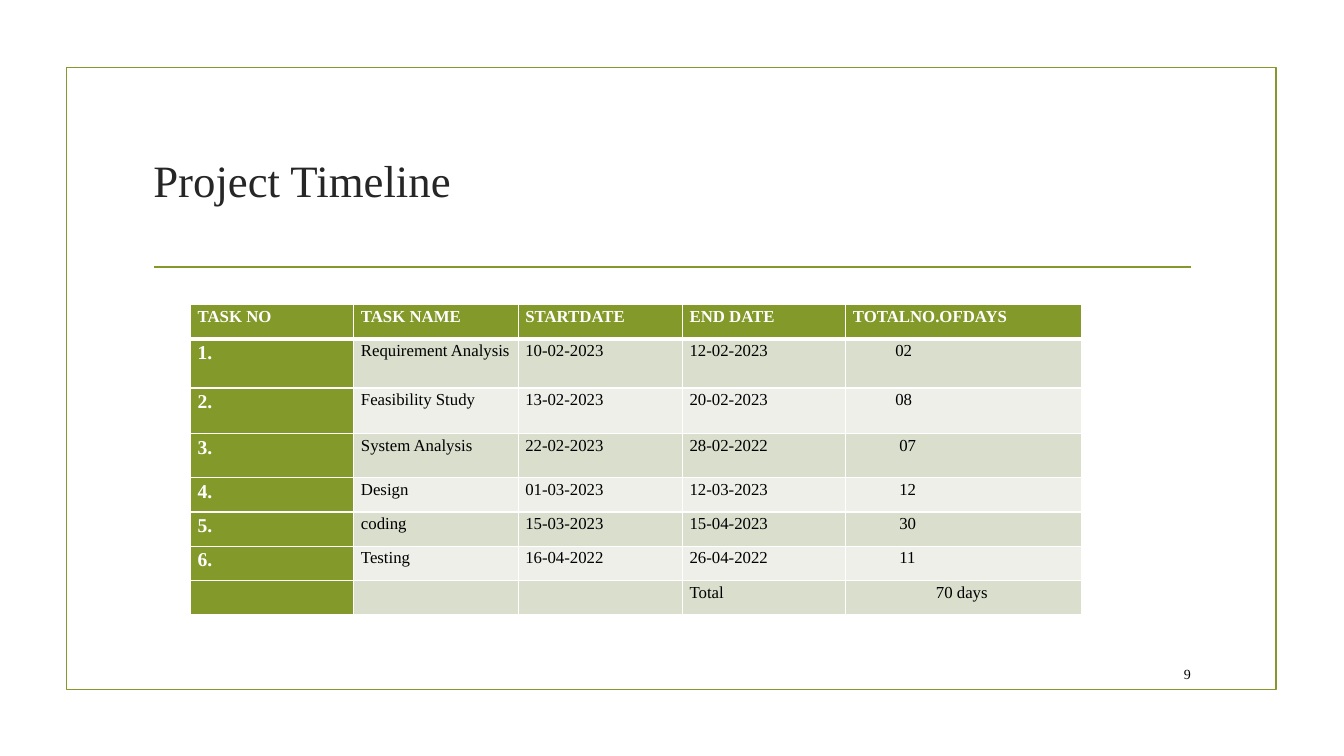
from lxml.etree import SubElement
from pptx import Presentation
from pptx.dml.color import RGBColor
from pptx.enum.shapes import MSO_CONNECTOR, MSO_SHAPE
from pptx.enum.text import MSO_ANCHOR, PP_ALIGN
from pptx.oxml.ns import qn
from pptx.util import Inches, Pt

FONT = "Times New Roman"
GREEN, WHITE, BLACK = "83992A", "FFFFFF", "000000"
BANDS = ["EDEFE8", "D9DECD"]
WIDTHS = [1.62, 1.63, 1.63, 1.62, 2.34]
HEIGHTS = [0.34, 0.49, 0.45, 0.44, 0.34, 0.34, 0.34, 0.34]
ROWS = [
    ["TASK NO", "TASK NAME", "STARTDATE", "END DATE", "TOTALNO.OFDAYS"],
    ["1.", "Requirement Analysis", "10-02-2023", "12-02-2023", "02"],
    ["2.", "Feasibility Study", "13-02-2023", "20-02-2023", "08"],
    ["3.", "System Analysis", "22-02-2023", "28-02-2022", "07"],
    ["4.", "Design", "01-03-2023", "12-03-2023", "12"],
    ["5.", "coding", "15-03-2023", "15-04-2023", "30"],
    ["6.", "Testing", "16-04-2022", "26-04-2022", "11"],
    ["", "", "", "Total", "70 days"],
]


def color(code):
    return RGBColor.from_string(code)


def style(para, size, code, bold=False, align=PP_ALIGN.LEFT):
    para.alignment = align
    font = para.font
    font.name, font.size, font.bold = FONT, Pt(size), bold
    font.color.rgb = color(code)


def stroke(shape):
    shape.line.color.rgb = color(GREEN)
    shape.line.width = Pt(1.25)


def add_frame(slide):
    frame = slide.shapes.add_shape(
        MSO_SHAPE.RECTANGLE, Inches(0.66), Inches(0.67), Inches(12), Inches(6.17))
    frame.shadow.inherit = False
    frame.fill.background()
    stroke(frame)


def add_rule(slide):
    rule = slide.shapes.add_connector(
        MSO_CONNECTOR.STRAIGHT, Inches(1.53), Inches(2.65), Inches(11.81), Inches(2.65))
    stroke(rule)
    SubElement(rule._element.spPr, qn("a:effectLst"))


def set_title(slide, text):
    title = slide.shapes.title
    title.left, title.top = Inches(1.42), Inches(1.07)
    title.width, title.height = Inches(10.5), Inches(1.43)
    title.text_frame.text = text
    title.text_frame.vertical_anchor = MSO_ANCHOR.MIDDLE
    style(title.text_frame.paragraphs[0], 32, "262626")


def add_number(slide, text):
    box = slide.shapes.add_textbox(Inches(11.32), Inches(6.53), Inches(0.59), Inches(0.31))
    frame = box.text_frame
    frame.word_wrap = True
    frame.vertical_anchor = MSO_ANCHOR.MIDDLE
    frame.text = text
    style(frame.paragraphs[0], 10, BLACK, align=PP_ALIGN.RIGHT)


def add_edges(cell, base):
    props = cell._tc.get_or_add_tcPr()
    for side, width in [("L", 1), ("R", 1), ("T", 1), ("B", base)]:
        edge = SubElement(props, qn(f"a:ln{side}"), w=str(Pt(width)))
        fill = SubElement(edge, qn("a:solidFill"))
        SubElement(fill, qn("a:srgbClr"), val=WHITE)


def get_indent(row, col):
    if row == 0 or col < 4:
        return 0.07
    return 0.49 if row < 3 else 0.53


def fill_cell(cell, row, col, text):
    head = row == 0 or col == 0
    total = row == len(ROWS) - 1 and col == 4
    add_edges(cell, 3 if row == 0 else 1)
    cell.fill.solid()
    cell.fill.fore_color.rgb = color(GREEN if head else BANDS[row % 2])
    cell.margin_left = cell.margin_top = cell.margin_bottom = 0
    cell.margin_right = Inches(0.04)
    cell.text = text
    if not text:
        return
    para = cell.text_frame.paragraphs[0]
    para.line_spacing = 1.15
    style(para, 14 if col == 0 and row else 12, WHITE if head else BLACK, head,
          PP_ALIGN.CENTER if total else PP_ALIGN.LEFT)
    if not total:
        para._p.get_or_add_pPr().set("marL", str(Inches(get_indent(row, col))))


def add_tasks(slide):
    table = slide.shapes.add_table(
        len(ROWS), len(WIDTHS), Inches(1.89), Inches(3.02),
        Inches(sum(WIDTHS)), Inches(sum(HEIGHTS))).table
    for col, width in zip(table.columns, WIDTHS):
        col.width = Inches(width)
    for row, height in zip(table.rows, HEIGHTS):
        row.height = Inches(height)
    for row, texts in enumerate(ROWS):
        for col, text in enumerate(texts):
            fill_cell(table.cell(row, col), row, col, text)


def main():
    deck = Presentation()
    deck.slide_width, deck.slide_height = Inches(13.33), Inches(7.5)
    slide = deck.slides.add_slide(deck.slide_layouts[5])
    add_frame(slide)
    add_rule(slide)
    set_title(slide, "Project Timeline")
    add_tasks(slide)
    add_number(slide, "9")
    deck.save("out.pptx")


if __name__ == "__main__":
    main()
